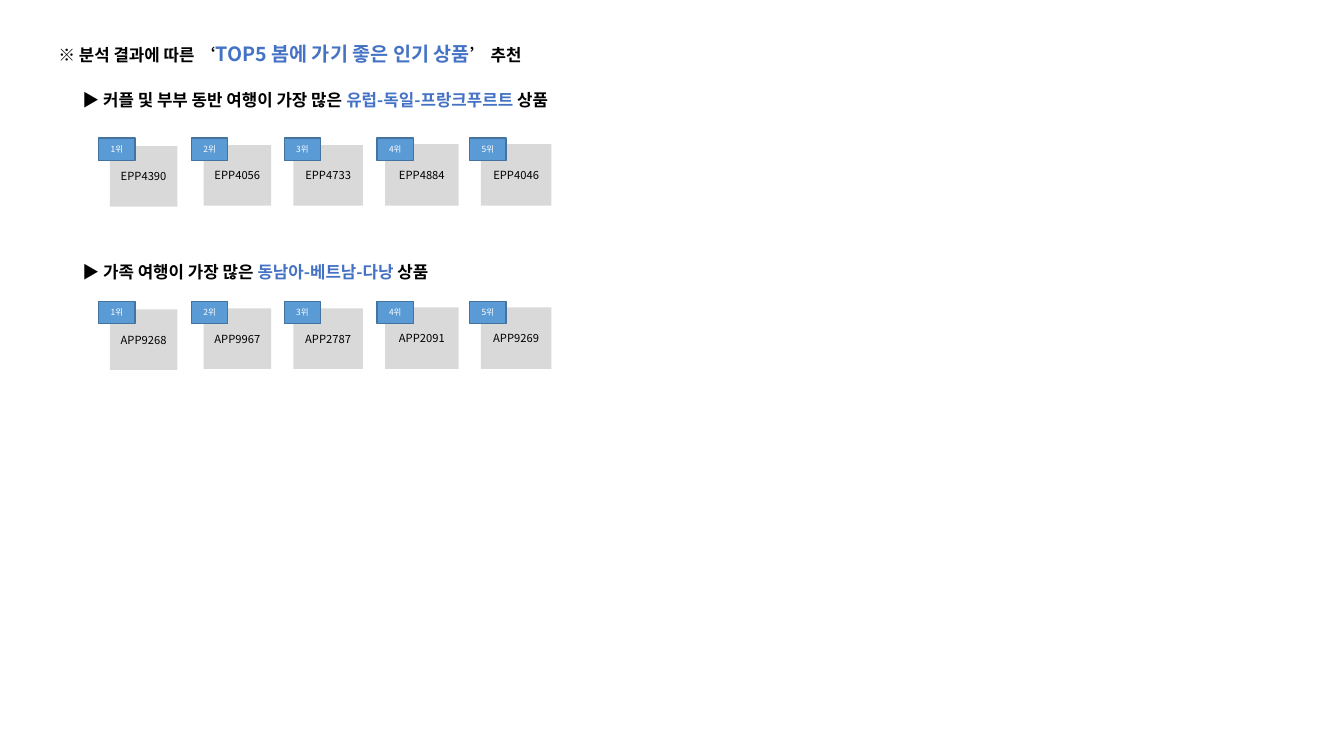
from collections import namedtuple
from dataclasses import dataclass

from lxml.etree import SubElement
from pptx import Presentation
from pptx.dml.color import RGBColor
from pptx.enum.shapes import MSO_SHAPE
from pptx.enum.text import MSO_ANCHOR, MSO_AUTO_SIZE, PP_ALIGN
from pptx.oxml.ns import qn
from pptx.util import Inches, Pt


@dataclass(frozen=True)
class Theme:
    font: str = "Noto Sans CJK KR"
    ink: str = "000000"
    accent: str = "4472C4"
    card: str = "D9D9D9"
    badge: str = "5B9BD5"
    badge_line: str = "43739E"
    badge_ink: str = "FFFFFF"
    heading_size: int = 12
    title_size: int = 14
    card_size: int = 8
    badge_size: int = 6


THEME = Theme()
Box = namedtuple("Box", "left top width height")

# Cards within a ranking row, measured from the row's top left corner
CARDS = [
    Box(0.11, 0.08, 0.67, 0.6),
    Box(1.04, 0.07, 0.67, 0.6),
    Box(1.93, 0.07, 0.69, 0.6),
    Box(2.84, 0.06, 0.73, 0.61),
    Box(3.79, 0.06, 0.7, 0.61),
]
BADGE_WIDTH, BADGE_HEIGHT, BADGE_PITCH = 0.36, 0.22, 0.92


def inches(box):
    return [Inches(length) for length in box]


def style_span(span, size, color, bold=False):
    span.font.name = THEME.font
    span.font.size = Pt(size)
    span.font.bold = bold
    span.font.color.rgb = RGBColor.from_string(color)
    # Hangul takes the East Asian typeface
    SubElement(span.font._element, qn("a:ea")).set("typeface", THEME.font)


def add_heading(page, box, before, highlight, after, highlight_size):
    """Bold line with a highlighted phrase in the middle."""
    frame = page.shapes.add_textbox(*inches(box)).text_frame
    frame.word_wrap = True
    frame.auto_size = MSO_AUTO_SIZE.SHAPE_TO_FIT_TEXT
    para = frame.paragraphs[0]
    para.line_spacing = 2.0
    for text, size, color in (
        (before, THEME.heading_size, THEME.ink),
        (highlight, highlight_size, THEME.accent),
        (after, THEME.heading_size, THEME.ink),
    ):
        span = para.add_run()
        span.text = text
        style_span(span, size, color, bold=True)


def add_label(page, box, text, size, color, fill, line=None):
    """Filled rectangle with centred text."""
    shape = page.shapes.add_shape(MSO_SHAPE.RECTANGLE, *inches(box))
    shape.shadow.inherit = False
    shape.fill.solid()
    shape.fill.fore_color.rgb = RGBColor.from_string(fill)
    if line:
        shape.line.color.rgb = RGBColor.from_string(line)
        shape.line.width = Pt(1)
    else:
        shape.line.fill.background()
    frame = shape.text_frame
    frame.text = text
    frame.word_wrap = False
    frame.vertical_anchor = MSO_ANCHOR.MIDDLE
    para = frame.paragraphs[0]
    para.alignment = PP_ALIGN.CENTER
    style_span(para.runs[0], size, color)


def add_ranking(page, left, top, codes):
    """Row of product cards, each with a rank badge on its corner."""
    for card, code in zip(CARDS, codes):
        box = card._replace(left=left + card.left, top=top + card.top)
        add_label(page, box, code, THEME.card_size, THEME.ink, THEME.card)
    for index in range(len(codes)):
        box = Box(left + index * BADGE_PITCH, top, BADGE_WIDTH, BADGE_HEIGHT)
        add_label(page, box, f"{index + 1}위", THEME.badge_size,
                  THEME.badge_ink, THEME.badge, THEME.badge_line)


def main():
    deck = Presentation()
    deck.slide_width, deck.slide_height = Inches(13.33), Inches(7.5)
    page = deck.slides.add_slide(deck.slide_layouts[6])

    # Title
    add_heading(page, Box(0.48, 0.13, 6.23, 0.57), "※ 분석 결과에 따른 ‘",
                "TOP5 봄에 가기 좋은 인기 상품", "’ 추천", THEME.title_size)

    # Traveller groups, each with its five products
    groups = [
        (0.64, 1.37, "▶ 커플 및 부부 동반 여행이 가장 많은 ", "유럽-독일-프랑크푸르트",
         ["EPP4390", "EPP4056", "EPP4733", "EPP4884", "EPP4046"]),
        (2.35, 2.99, "▶ 가족 여행이 가장 많은 ", "동남아-베트남-다낭",
         ["APP9268", "APP9967", "APP2787", "APP2091", "APP9269"]),
    ]
    for heading_top, row_top, before, region, codes in groups:
        add_heading(page, Box(0.72, heading_top, 5.2, 0.5), before, region,
                    " 상품", THEME.heading_size)
        add_ranking(page, 0.98, row_top, codes)

    deck.save("out.pptx")


if __name__ == "__main__":
    main()
